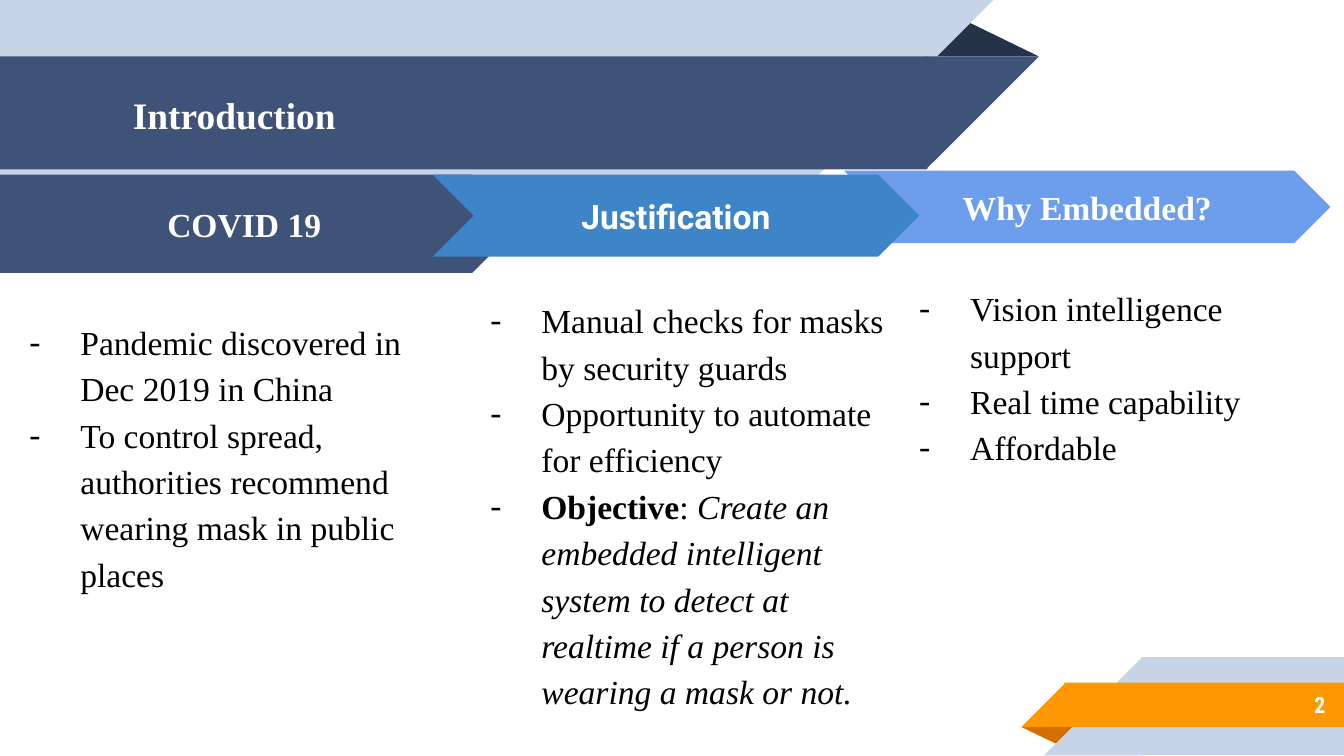
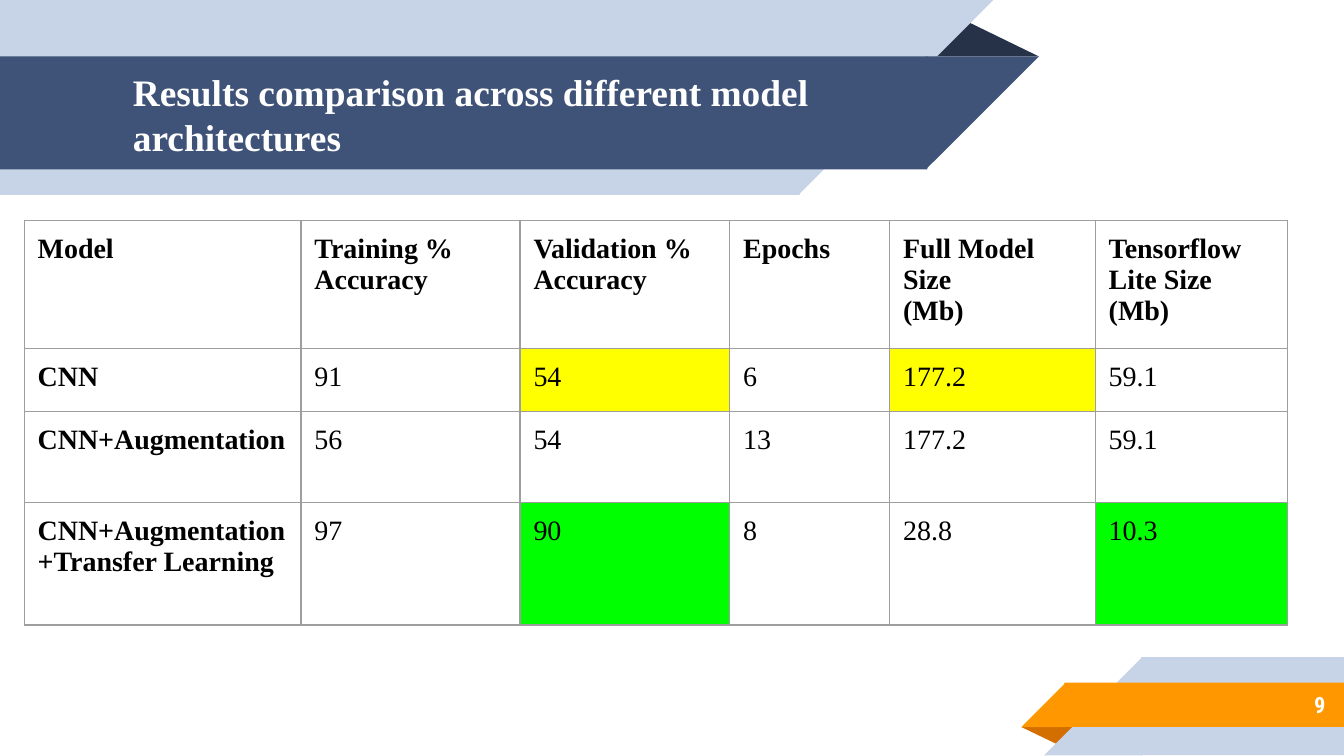
from dataclasses import dataclass
from typing import Any, NamedTuple

from lxml import etree
from pptx import Presentation
from pptx import util as u
from pptx.dml.color import RGBColor
from pptx.enum import shapes, text
from pptx.oxml import ns

NAVY = RGBColor(0x3F, 0x53, 0x78)
DARK_NAVY = RGBColor(0x26, 0x32, 0x48)
PALE_BLUE = RGBColor(0xC7, 0xD3, 0xE6)
MID_BLUE = RGBColor(0x3D, 0x85, 0xC6)
SKY_BLUE = RGBColor(0x6D, 0x9E, 0xEB)
ORANGE = RGBColor(0xFF, 0x98, 0x00)
DARK_ORANGE = RGBColor(0xD2, 0x6F, 0x00)
YELLOW = RGBColor(0xFF, 0xFF, 0x00)
GREEN = RGBColor(0x00, 0xFF, 0x00)
GREY = RGBColor(0x9E, 0x9E, 0x9E)
WHITE = RGBColor(0xFF, 0xFF, 0xFF)
BLACK = RGBColor(0x00, 0x00, 0x00)

SERIF = "Times New Roman"
SANS = "Roboto"
CONDENSED = "Roboto Condensed"

KIND = shapes.MSO_SHAPE
ALIGN = text.PP_ALIGN
ANCHOR = text.MSO_ANCHOR
SLIDE_WIDTH = u.Inches(10)
SLIDE_HEIGHT = SLIDE_WIDTH * 9 // 16
MARGINS = {f"margin_{side}": u.Inches(0.1) for side in ("left", "top", "right", "bottom")}


class Box(NamedTuple):
    left: float
    top: float
    width: float
    height: float

    def lengths(self) -> list[int]:
        return [u.Inches(value) for value in self]


class Run(NamedTuple):
    words: str
    bold: bool = False
    italic: bool = False


class Style(NamedTuple):
    size: float
    color: RGBColor
    font: str = SERIF
    align: Any = ALIGN.LEFT
    spacing: float = 1.0


@dataclass(frozen=True)
class Piece:
    kind: Any
    box: Box
    color: RGBColor
    rotation: int = 0
    flip: bool = False
    adjustment: float | None = None


@dataclass(frozen=True)
class Topic:
    banner: Piece
    heading: str
    heading_font: str
    body: Box
    bullets: list[list[Run]]


def ribbon(box: Box, slant: Box, color: RGBColor, rotation: int) -> list[Piece]:
    return [
        Piece(KIND.RECTANGLE, box, color, rotation, True),
        Piece(KIND.RIGHT_TRIANGLE, slant, color, rotation, True),
    ]


FRAME = [
    Piece(KIND.ISOSCELES_TRIANGLE, Box(6.88, 0.14, 0.85, 0.28), DARK_NAVY, adjustment=0.324),
    *ribbon(Box(0, 0, 5.95, 1.45), Box(5.94, 0, 1.45, 1.45), PALE_BLUE, 180),
    *ribbon(Box(0, 0.42, 6.9, 0.84), Box(6.89, 0.42, 0.84, 0.84), NAVY, 180),
    Piece(KIND.ISOSCELES_TRIANGLE, Box(7.6, 5.41, 0.43, 0.14), DARK_ORANGE, 180, adjustment=0.324),
    *ribbon(Box(8.49, 4.89, 1.51, 0.73), Box(7.77, 4.89, 0.73, 0.73), PALE_BLUE, 0),
    *ribbon(Box(7.92, 5.08, 2.08, 0.33), Box(7.6, 5.08, 0.33, 0.33), ORANGE, 0),
]
TITLE_BOX = Box(0.89, 0.43, 6.01, 0.84)
NUMBER_BOX = Box(8.33, 5.07, 1.63, 0.35)
TITLE = Style(20, WHITE)
NUMBER = Style(12, WHITE, CONDENSED, ALIGN.RIGHT)
BODY = Style(18, BLACK, spacing=1.15)
CELL = Style(15, BLACK)

TOPICS = [
    Topic(
        Piece(KIND.CHEVRON, Box(6.28, 1.27, 3.62, 0.54), SKY_BLUE, adjustment=0.5),
        "Why Embedded?",
        SERIF,
        Box(6.62, 2, 3.12, 2.13),
        [[Run("Vision intelligence support")], [Run("Real time capability")], [Run("Affordable")]],
    ),
    Topic(
        Piece(KIND.PENTAGON, Box(0, 1.3, 3.88, 0.73), NAVY, adjustment=0.5),
        "COVID 19 ",
        SERIF,
        Box(0, 2.25, 3.37, 2.35),
        [
            [Run("Pandemic discovered in Dec 2019 in China")],
            [Run("To control spread, authorities recommend wearing mask in public places")],
        ],
    ),
    Topic(
        Piece(KIND.CHEVRON, Box(3.22, 1.3, 3.62, 0.61), MID_BLUE, adjustment=0.5),
        "Justification",
        SANS,
        Box(3.43, 2.09, 3.29, 3.54),
        [
            [Run("Manual checks for masks by security guards")],
            [Run("Opportunity to automate for efficiency")],
            [
                Run("Objective", bold=True),
                Run(":"),
                Run(
                    " Create an embedded intelligent system to detect at realtime "
                    "if a person is wearing a mask or not.",
                    italic=True,
                ),
            ],
        ],
    ),
]

COLUMN_WIDTHS = [2.06, 1.63, 1.56, 1.19, 1.53, 1.43]
ROW_HEIGHTS = [0.92, 0.47, 0.68, 0.91]
RESULTS = [
    ["Model", "Training % Accuracy", "Validation % Accuracy", "Epochs",
     "Full Model Size\n(Mb)", "Tensorflow Lite Size (Mb)"],
    ["CNN", "91", "54", "6", "177.2", "59.1"],
    ["CNN+Augmentation", "56", "54", "13", "177.2", "59.1"],
    ["CNN+Augmentation+Transfer Learning", "97", "90", "8", "28.8", "10.3"],
]
HIGHLIGHTS = {(1, 2): YELLOW, (1, 4): YELLOW, (3, 2): GREEN, (3, 5): GREEN}


def apply(target: Any, values: dict[str, Any]) -> None:
    for name, value in values.items():
        setattr(target, name, value)


def write(frame: Any, paragraphs: list[list[Run]], style: Style, bulleted: bool = False) -> None:
    for index, runs in enumerate(paragraphs):
        paragraph = frame.add_paragraph() if index else frame.paragraphs[0]
        apply(paragraph, {"alignment": style.align, "line_spacing": style.spacing})
        for words, bold, italic in runs:
            run = paragraph.add_run()
            run.text = words
            apply(run.font, {"name": style.font, "size": u.Pt(style.size),
                             "bold": bold, "italic": italic})
            run.font.color.rgb = style.color
        etree.SubElement(paragraph._p, ns.qn("a:endParaRPr"), sz=str(style.size * 100))
        if bulleted:
            add_dash(paragraph)


def add_dash(paragraph: Any) -> None:
    properties = paragraph._p.get_or_add_pPr()
    properties.set("marL", str(u.Inches(0.5)))
    properties.set("indent", str(u.Inches(-0.38)))
    etree.SubElement(properties, ns.qn("a:buFont"), typeface=SERIF)
    etree.SubElement(properties, ns.qn("a:buChar"), char="-")


def add_piece(slide: Any, piece: Piece) -> Any:
    shape = slide.shapes.add_shape(piece.kind, *piece.box.lengths())
    shape.shadow.inherit = False
    shape.fill.solid()
    shape.fill.fore_color.rgb = piece.color
    shape.line.fill.background()
    shape.rotation = piece.rotation
    if piece.flip:
        shape.element.spPr.find(ns.qn("a:xfrm")).set("flipH", "1")
    if piece.adjustment is not None:
        shape.adjustments[0] = piece.adjustment
    return shape


def add_text(slide: Any, box: Box, paragraphs: list[list[Run]], style: Style,
             anchor: Any = ANCHOR.MIDDLE, bulleted: bool = False) -> None:
    frame = slide.shapes.add_textbox(*box.lengths()).text_frame
    apply(frame, {**MARGINS, "word_wrap": True, "vertical_anchor": anchor})
    write(frame, paragraphs, style, bulleted)


def add_topic(slide: Any, topic: Topic) -> None:
    frame = add_piece(slide, topic.banner).text_frame
    apply(frame, {**MARGINS, "word_wrap": True, "vertical_anchor": ANCHOR.MIDDLE})
    write(frame, [[Run(topic.heading, bold=True)]],
          Style(18, WHITE, topic.heading_font, ALIGN.CENTER))
    add_text(slide, topic.body, topic.bullets, BODY, ANCHOR.TOP, bulleted=True)


def add_borders(cell: Any) -> None:
    properties = cell._tc.get_or_add_tcPr()
    for side in "LRTB":
        line = etree.SubElement(properties, ns.qn(f"a:ln{side}"), w=str(u.Pt(0.75)))
        fill = etree.SubElement(line, ns.qn("a:solidFill"))
        etree.SubElement(fill, ns.qn("a:srgbClr"), val=str(GREY))


def add_results(slide: Any) -> None:
    box = Box(0.18, 1.64, sum(COLUMN_WIDTHS), sum(ROW_HEIGHTS))
    table = slide.shapes.add_table(len(ROW_HEIGHTS), len(COLUMN_WIDTHS), *box.lengths()).table
    apply(table, {"first_row": False, "horz_banding": False})
    for column, width in zip(table.columns, COLUMN_WIDTHS):
        column.width = u.Inches(width)
    for row, height in zip(table.rows, ROW_HEIGHTS):
        row.height = u.Inches(height)
    for row_index, values in enumerate(RESULTS):
        for column_index, value in enumerate(values):
            cell = table.cell(row_index, column_index)
            apply(cell, MARGINS)
            add_borders(cell)
            color = HIGHLIGHTS.get((row_index, column_index))
            if color is None:
                cell.fill.background()
            else:
                cell.fill.solid()
                cell.fill.fore_color.rgb = color
            bold = row_index == 0 or column_index == 0
            write(cell.text_frame, [[Run(line, bold)] for line in value.split("\n")], CELL)


def add_slide(presentation: Any, title: str, number: int) -> Any:
    slide = presentation.slides.add_slide(presentation.slide_layouts[6])
    for piece in FRAME:
        add_piece(slide, piece)
    add_text(slide, TITLE_BOX, [[Run(title, bold=True)]], TITLE)
    add_text(slide, NUMBER_BOX, [[Run(str(number), bold=True)]], NUMBER)
    return slide


def main() -> None:
    presentation = Presentation()
    apply(presentation, {"slide_width": SLIDE_WIDTH, "slide_height": SLIDE_HEIGHT})
    introduction = add_slide(presentation, "Introduction", 2)
    for topic in TOPICS:
        add_topic(introduction, topic)
    add_results(add_slide(presentation, "Results comparison across different model architectures", 9))
    presentation.save("out.pptx")


if __name__ == "__main__":
    main()
